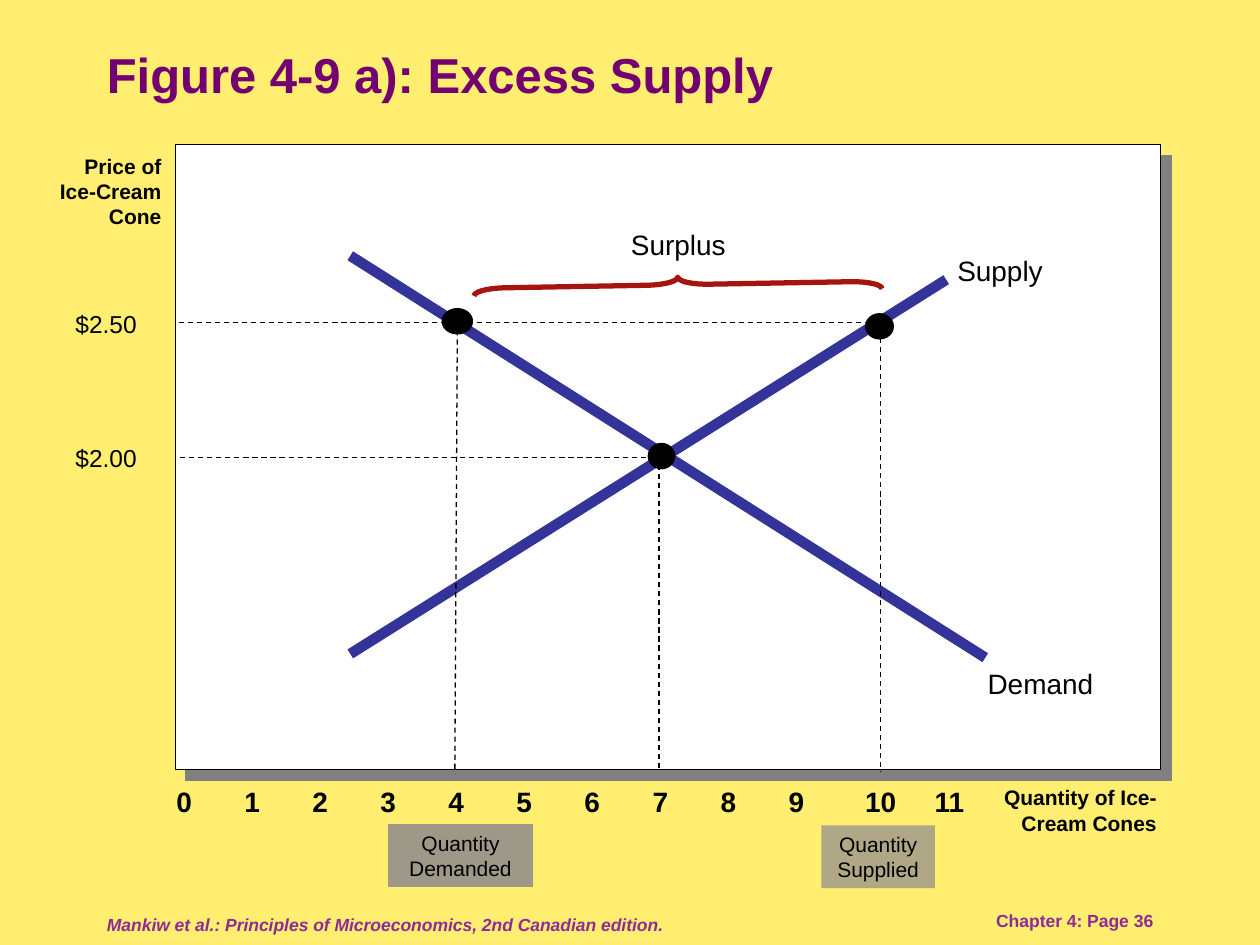
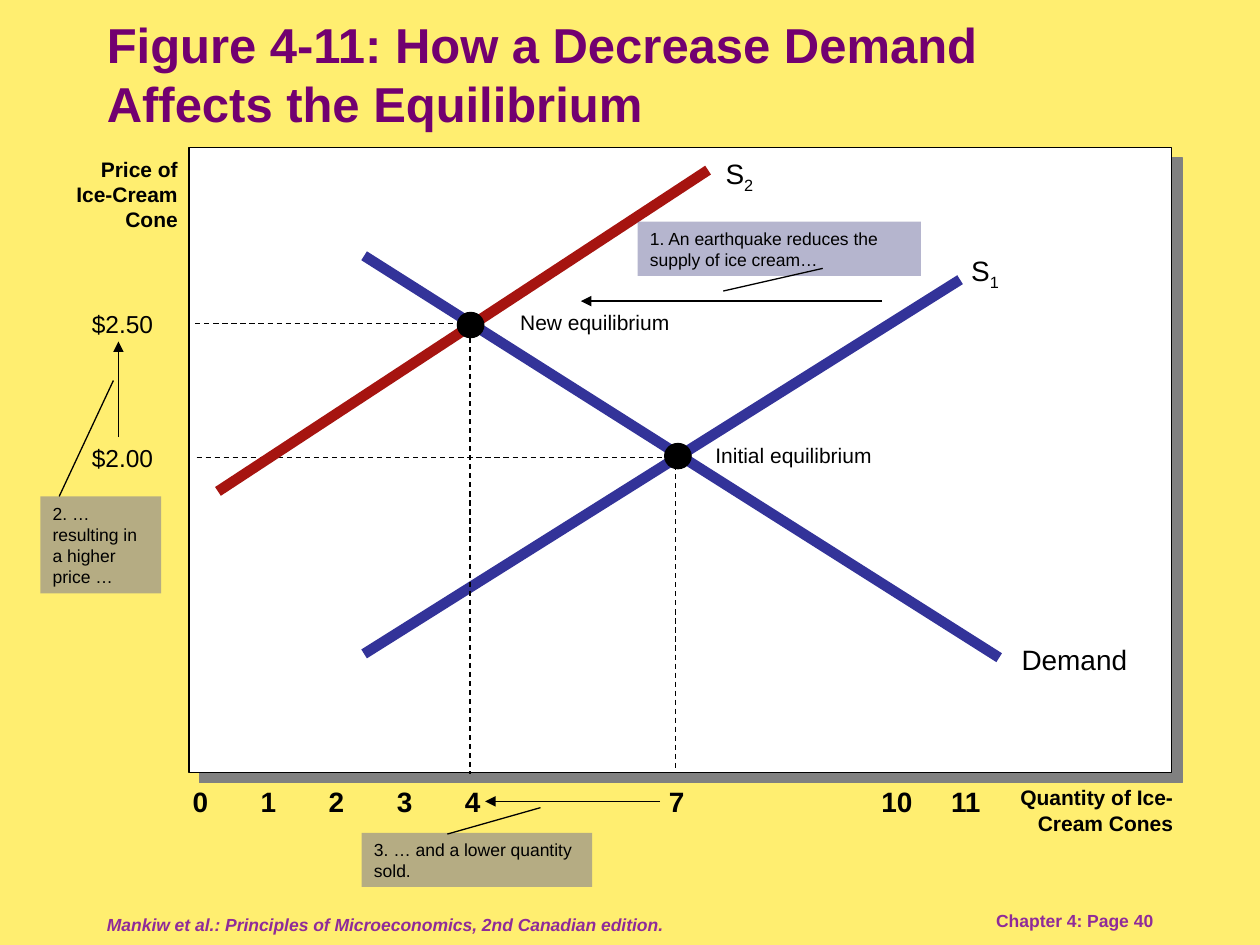
from lxml.etree import SubElement
from pptx import Presentation
from pptx.dml.color import RGBColor
from pptx.enum.dml import MSO_LINE
from pptx.enum.shapes import MSO_CONNECTOR, MSO_SHAPE
from pptx.enum.text import MSO_ANCHOR, PP_ALIGN
from pptx.oxml.ns import qn
from pptx.util import Inches, Pt

# Grid of 1000 columns and 750 rows, each cell a hundredth of an inch.
CELL = Inches(0.01)
COLS, ROWS = 1000, 750

CREAM, WHITE, BLACK, GREY = "FFEE70", "FFFFFF", "000000", "808080"
PLUM, VIOLET = "720070", "8F2B99"
BLUE, RED, SLATE = "333399", "A61410", "666699"

HEAD = {"size": Pt(28), "bold": True}
FOOT = {"size": Pt(10), "bold": True}
TICK = {"size": Pt(16), "bold": True}
AXIS = {"size": Pt(12), "bold": True}
NAME = {"size": Pt(16)}
PRICE = {"size": Pt(14)}
LABEL = {"size": Pt(12)}
NOTE = {"size": Pt(10)}

LEFT, MID, RIGHT = PP_ALIGN.LEFT, PP_ALIGN.CENTER, PP_ALIGN.RIGHT
TOP, CENTRE = MSO_ANCHOR.TOP, MSO_ANCHOR.MIDDLE


def cells(*counts):
    """Turn counts of grid cells into lengths."""
    return [round(n * CELL) for n in counts]


def paint(fill, tone, clear=None):
    """Fill with a solid hex colour, with an optional opacity in percent."""
    fill.solid()
    fill.fore_color.rgb = RGBColor.from_string(tone)
    if clear is not None:
        node = fill.fore_color._xFill[0]
        SubElement(node, qn("a:alpha"), val=str(clear * 1000))


def write(shape, text, style, tone=BLACK, align=LEFT, anchor=TOP):
    """Write one paragraph; an underscore starts a subscript."""
    frame = shape.text_frame
    frame.word_wrap = True
    frame.vertical_anchor = anchor
    para = frame.paragraphs[0]
    para.alignment = align
    for i, part in enumerate(text.split("_")):
        run = para.add_run()
        run.text = part
        for key, value in {"name": "Arial", **style}.items():
            setattr(run.font, key, value)
        paint(run.font.fill, tone)
        if i:
            run._r.get_or_add_rPr().set("baseline", "-25000")


def label(slide, box, text, style, **more):
    """Add a text box."""
    write(slide.shapes.add_textbox(*cells(*box)), text, style, **more)


def block(slide, kind, box, tone=None, edge=None, width=0.75, clear=None):
    """Add a preset shape with an optional fill and outline."""
    shape = slide.shapes.add_shape(kind, *cells(*box))
    shape.shadow.inherit = False
    if tone:
        paint(shape.fill, tone, clear)
    else:
        shape.fill.background()
    if edge:
        paint(shape.line.fill, edge)
        shape.line.width = Pt(width)
    else:
        shape.line.fill.background()
    return shape


def stroke(slide, start, end, tone=BLACK, width=0.75, dash=False, arrow=False):
    """Draw a straight line from start to end."""
    line = slide.shapes.add_connector(
        MSO_CONNECTOR.STRAIGHT, *cells(*start, *end))
    paint(line.line.fill, tone)
    line.line.width = Pt(width)
    if dash:
        line.line.dash_style = MSO_LINE.DASH
    if arrow:
        SubElement(line.line._get_or_add_ln(), qn("a:tailEnd"), type="triangle")
    SubElement(line._element.spPr, qn("a:effectLst"))


def dot(slide, x, y, width=21):
    """Mark a point of the graph."""
    block(slide, MSO_SHAPE.OVAL, (x - width / 2, y - 10, width, 20),
          BLACK, BLACK)


def note(slide, box, text, style=NOTE, align=LEFT, clear=48):
    """Add a tinted, see-through note."""
    shape = block(slide, MSO_SHAPE.RECTANGLE, box, SLATE, clear=clear)
    write(shape, text, style, align=align)


def panel(slide, box):
    """Add the white plot area with its hard shadow."""
    shape = block(slide, MSO_SHAPE.RECTANGLE, box, WHITE, BLACK)
    effect = shape._element.spPr.find(qn("a:effectLst"))
    shade = SubElement(effect, qn("a:outerShdw"), dist=str(Pt(8.5)),
                       dir="2700000", algn="ctr", rotWithShape="0")
    SubElement(shade, qn("a:srgbClr"), val=GREY)


def page(deck, title, number):
    """Add a slide with background, title and footers."""
    slide = deck.slides.add_slide(deck.slide_layouts[6])
    paint(slide.background.fill, CREAM)
    label(slide, (75, 25, 850, 67), title, HEAD, tone=PLUM, anchor=CENTRE)
    label(slide, (75, 717, 592, 33),
          "Mankiw et al.: Principles of Microeconomics, 2nd Canadian edition.",
          {**FOOT, "italic": True}, tone=VIOLET, anchor=CENTRE)
    label(slide, (717, 717, 208, 25), f"Chapter 4: Page {number}", FOOT,
          tone=VIOLET, align=RIGHT)
    return slide


def graph(slide, box, shift, ticks, supply):
    """Draw what both graphs share: panel, axes, curves, first balance."""
    panel(slide, box)
    slide_x = box[0] - 139
    for start, end in (((278, 203), (782, 522)), ((278, 519), (751, 222))):
        stroke(slide, (start[0] + slide_x, start[1]),
               (end[0] + slide_x, end[1]), BLUE, 6)
    label(slide, (750 + slide_x, 196, 117, 37), supply, NAME)
    for tick in ticks:
        edge = 162 + 54 * tick + (19 if tick > 9 else 0) + shift
        label(slide, (edge - 58, 618, 58, 37), str(tick), TICK, align=RIGHT)
    for price, y in (("$2.50", 240), ("$2.00", 347)):
        label(slide, (50 + shift, y, 89, 33), price, PRICE)
    label(slide, (25 + shift, box[1] + 2, 113, 70),
          "Price of Ice-Cream Cone", AXIS, align=RIGHT)
    label(slide, (768 + shift, 618, 160, 50),
          "Quantity of Ice-Cream Cones", AXIS, align=RIGHT)
    stroke(slide, (143 + shift, 363), (514 + shift, 363), dash=True)
    stroke(slide, (523 + shift, 369), (523 + shift, 610), dash=True)
    dot(slide, 525 + shift, 362)


def surplus(deck):
    """Slide on excess supply."""
    slide = page(deck, "Figure 4-9 a): Excess Supply", 36)
    graph(slide, (139, 115, 782, 496), 0, range(12), "Supply")
    label(slide, (774, 524, 117, 37), "Demand", NAME)
    stroke(slide, (142, 256), (692, 256), dash=True)
    brace = block(slide, MSO_SHAPE.LEFT_BRACE, (532, 64, 12, 324),
                  edge=RED, width=3)
    brace.rotation = 89
    brace.adjustments[0] = 2.09
    label(slide, (491, 176, 100, 37), "Surplus", NAME)
    stroke(slide, (363, 255), (361, 613), dash=True)
    dot(slide, 363, 255, 24)
    note(slide, (308, 654, 115, 50), "Quantity Demanded", LABEL, MID, 63)
    stroke(slide, (699, 261), (699, 613), dash=True)
    dot(slide, 698, 259, 22)
    note(slide, (652, 655, 90, 50), "Quantity Supplied", LABEL, MID, 52)


def decrease(deck):
    """Slide on the shift to a new balance."""
    slide = page(deck, "Figure 4-11: How a Decrease Demand "
                       "Affects the Equilibrium", 40)
    graph(slide, (150, 117, 780, 496), 13, (0, 1, 2, 3, 4, 7, 10, 11), "S_1")
    label(slide, (801, 505, 110, 37), "Demand", NAME)
    stroke(slide, (173, 390), (562, 135), RED, 6)
    label(slide, (566, 119, 58, 37), "S_2", NAME)
    stroke(slide, (373, 261), (373, 614), dash=True)
    stroke(slide, (155, 257), (375, 257), dash=True)
    dot(slide, 373.5, 258)
    for start, end in (((700, 239), (461, 239)), ((94, 347), (94, 271)),
                       ((524, 636), (385, 636))):
        stroke(slide, start, end, arrow=True)
    for box, text, start, end in (
            ((506, 176, 225, 43),
             "1. An earthquake reduces the supply of ice cream…",
             (653, 213), (574, 231)),
            ((32, 394, 96, 77), "2. … resulting in a higher price …",
             (47, 394), (90, 302)),
            ((287, 661, 183, 43), "3. … and a lower quantity sold.",
             (355, 662), (429, 641))):
        note(slide, box, text)
        stroke(slide, start, end)
    label(slide, (403, 241, 145, 30), "New equilibrium", LABEL)
    label(slide, (558, 346, 180, 30), "Initial equilibrium", LABEL)


def main():
    """Build and save the deck."""
    deck = Presentation()
    deck.slide_width, deck.slide_height = cells(COLS, ROWS)
    surplus(deck)
    decrease(deck)
    deck.save("out.pptx")


main()
